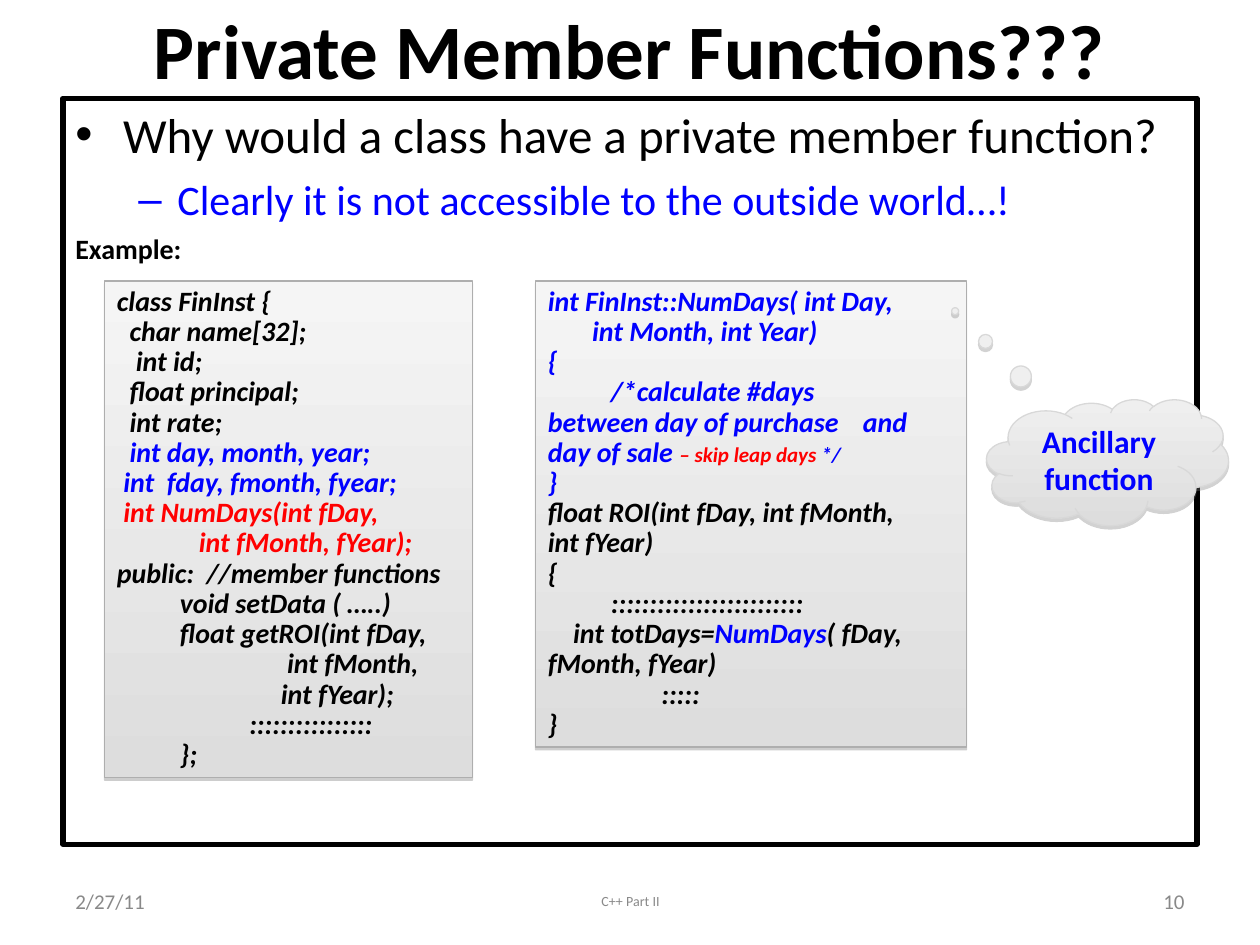
from lxml.etree import SubElement
from pptx import Presentation
from pptx.dml.color import RGBColor
from pptx.enum.shapes import MSO_SHAPE
from pptx.enum.text import MSO_ANCHOR, MSO_AUTO_SIZE, PP_ALIGN
from pptx.oxml.ns import qn
from pptx.util import Inches, Pt

BLACK = RGBColor(0x00, 0x00, 0x00)
BLUE = RGBColor(0x00, 0x00, 0xFF)
RED = RGBColor(0xFF, 0x00, 0x00)
GREY = RGBColor(0x89, 0x89, 0x89)
PANEL_TOP = RGBColor(0xF5, 0xF5, 0xF5)
CLOUD_TOP = RGBColor(0xEF, 0xEF, 0xEF)
FILL_END = RGBColor(0xDD, 0xDD, 0xDD)
PANEL_LINE = RGBColor(0xAE, 0xAE, 0xAE)
CLOUD_LINE = RGBColor(0xD8, 0xD8, 0xD8)
FONT = "Calibri"

# Content
TITLE = "Private Member Functions???"

# text, size, colour, bold, bullet, left margin, first-line indent, space before
BODY = [
    ("Why would a class have a private member function?", 28, BLACK, False, "•", 0.38, -0.38, 0),
    ("Clearly it is not accessible to the outside world…!", 24, BLUE, False, "–", 0.81, -0.31, 6),
    ("Example:", 16, BLACK, True, None, 0.38, -0.38, 4),
]

# Each code line: left margin, then runs of (text, colour, size)
CLASS_CODE = [
    (0, [("class FinInst {", BLACK, 16)]),
    (0, [("  char name[32];", BLACK, 16)]),
    (0, [("   int id;", BLACK, 16)]),
    (0, [("  float principal;", BLACK, 16)]),
    (0, [("  int rate;", BLACK, 16)]),
    (0, [("  int day, month, year;", BLUE, 16)]),
    (0, [(" int  fday, fmonth, fyear;", BLUE, 16)]),
    (0, [(" int NumDays(int fDay,", RED, 16)]),
    (0, [("             int fMonth, fYear);", RED, 16)]),
    (0, [("public:  //member functions", BLACK, 16)]),
    (0, [("\tvoid setData ( …..)", BLACK, 16)]),
    (0, [("\tfloat getROI(int fDay,", BLACK, 16)]),
    (0, [("                           int fMonth,", BLACK, 16)]),
    (0, [("                          int fYear);", BLACK, 16)]),
    (0.5, [("\t ::::::::::::::::", BLACK, 16)]),
    (0.5, [("};", BLACK, 16)]),
]
FUNCTION_CODE = [
    (0, [("int FinInst::NumDays( int Day,", BLUE, 16)]),
    (0, [("       int Month, int Year)", BLUE, 16)]),
    (0, [("{", BLUE, 16)]),
    (0, [("\t/*calculate #days \t  \t\tbetween day of purchase \tand day of sale ", BLUE, 16),
         ("– skip leap days", RED, 12), (" */", BLUE, 12)]),
    (0, [("}", BLUE, 16)]),
    (0, [("float ROI(int fDay, int fMonth, \t\tint fYear)", BLACK, 16)]),
    (0, [("{", BLACK, 16)]),
    (0, [("\t:::::::::::::::::::::::::", BLACK, 16)]),
    (0, [("    int totDays=", BLACK, 16), ("NumDays", BLUE, 16),
         ("( fDay, \tfMonth, fYear)", BLACK, 16)]),
    (0, [("                  :::::", BLACK, 16)]),
    (0, [("}", BLACK, 16)]),
]
# code, left, width, height
PANELS = [(CLASS_CODE, 0.83, 2.92, 3.94), (FUNCTION_CODE, 4.25, 3.42, 3.7)]

# text, left, width, size, alignment
FOOTERS = [
    ("2/27/11", 0.5, 2.33, 12, PP_ALIGN.LEFT),
    ("C++ Part II", 3.42, 3.17, 8, PP_ALIGN.CENTER),
    ("10", 7.17, 2.33, 12, PP_ALIGN.RIGHT),
]


def add_run(p, text, size, color, bold=False, italic=False):
    r = p.add_run()
    r.text = text
    f = r.font
    f.name, f.size, f.bold, f.italic = FONT, Pt(size), bold, italic
    f.color.rgb = color


def paragraphs(tf, count):
    return [tf.paragraphs[0]] + [tf.add_paragraph() for _ in range(count - 1)]


def set_margins(p, left, indent=0):
    pPr = p._p.get_or_add_pPr()
    pPr.set("marL", str(Inches(left)))
    pPr.set("indent", str(Inches(indent)))
    return pPr


def add_shape(kind, left, top, width, height):
    sp = slide.shapes.add_shape(kind, Inches(left), Inches(top), Inches(width), Inches(height))
    sp.shadow.inherit = False
    sp.text_frame.word_wrap = True
    return sp


def style_raised(sp, top_color, line_color, alpha, distance):
    """Vertical gradient, thin outline and a shadow straight below."""
    sp.fill.gradient()
    sp.fill.gradient_angle = 270
    for stop, color in zip(sp.fill.gradient_stops, (top_color, FILL_END)):
        stop.color.rgb = color
    sp.line.color.rgb = line_color
    sp.line.width = Pt(0.75)
    effects = sp._element.spPr.find(qn("a:effectLst"))
    shadow = SubElement(effects, qn("a:outerShdw"), blurRad="0", dist=str(Pt(distance)),
                        dir="5400000", rotWithShape="0")
    color = SubElement(shadow, qn("a:srgbClr"), val="808080")
    SubElement(color, qn("a:alpha"), val=str(alpha * 1000))


prs = Presentation()
prs.slide_width, prs.slide_height = Inches(10), Inches(7.5)
slide = prs.slides.add_slide(prs.slide_layouts[5])

# Title
title = slide.shapes.title
title.left, title.top, title.width, title.height = Inches(0.5), 0, Inches(9), Inches(0.78)
title.text_frame.vertical_anchor = MSO_ANCHOR.MIDDLE
p = title.text_frame.paragraphs[0]
p.alignment = PP_ALIGN.CENTER
add_run(p, TITLE, 44, BLACK, bold=True)

# Framed body
frame = add_shape(MSO_SHAPE.RECTANGLE, 0.5, 0.78, 9, 5.92)
frame.fill.background()
frame.line.color.rgb = BLACK
frame.line.width = Pt(3)
tf = frame.text_frame
tf.vertical_anchor = MSO_ANCHOR.TOP
for p, (text, size, color, bold, bullet, left, indent, before) in zip(paragraphs(tf, len(BODY)), BODY):
    pPr = set_margins(p, left, indent)
    if bullet:
        SubElement(pPr, qn("a:buFont"), typeface="Arial")
        SubElement(pPr, qn("a:buChar"), char=bullet)
    p.alignment = PP_ALIGN.LEFT
    p.space_before = Pt(before)
    add_run(p, text, size, color, bold)

# Footer row
for text, left, width, size, align in FOOTERS:
    tf = slide.shapes.add_textbox(Inches(left), Inches(6.95), Inches(width), Inches(0.4)).text_frame
    tf.word_wrap = True
    tf.vertical_anchor = MSO_ANCHOR.MIDDLE
    p = tf.paragraphs[0]
    p.alignment = align
    add_run(p, text, size, GREY)

# Code panels
for code, left, width, height in PANELS:
    sp = add_shape(MSO_SHAPE.RECTANGLE, left, 2.23, width, height)
    style_raised(sp, PANEL_TOP, PANEL_LINE, 38, 1.6)
    tf = sp.text_frame
    tf.vertical_anchor = MSO_ANCHOR.TOP
    tf.auto_size = MSO_AUTO_SIZE.SHAPE_TO_FIT_TEXT
    for p, (margin, runs) in zip(paragraphs(tf, len(code)), code):
        tabs = SubElement(set_margins(p, margin), qn("a:tabLst"))
        for i in range(8):
            stop = margin + i * 0.5 if i else 0
            SubElement(tabs, qn("a:tab"), pos=str(Inches(stop)), algn="l")
        p.alignment = PP_ALIGN.LEFT
        p.line_spacing = 0.9
        for text, color, size in runs:
            add_run(p, text, size, color, bold=True, italic=True)

# Cloud callout
cloud = add_shape(MSO_SHAPE.CLOUD_CALLOUT, 7.83, 3.17, 1.92, 1)
cloud.adjustments[0], cloud.adjustments[1] = -0.63, -1.2
style_raised(cloud, CLOUD_TOP, CLOUD_LINE, 35, 1.8)
cloud.text_frame.vertical_anchor = MSO_ANCHOR.MIDDLE
p = cloud.text_frame.paragraphs[0]
p.alignment = PP_ALIGN.CENTER
add_run(p, "Ancillary function", 18, BLUE, bold=True)

prs.save("out.pptx")
